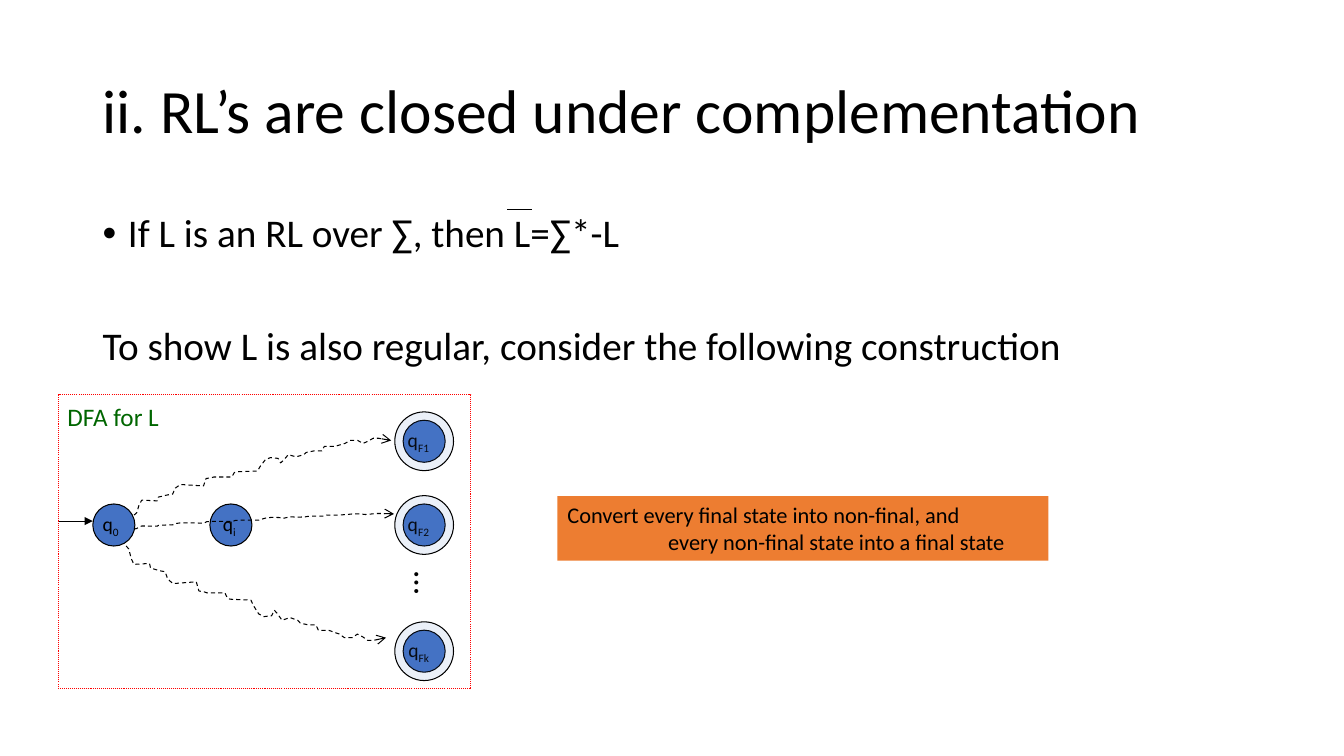
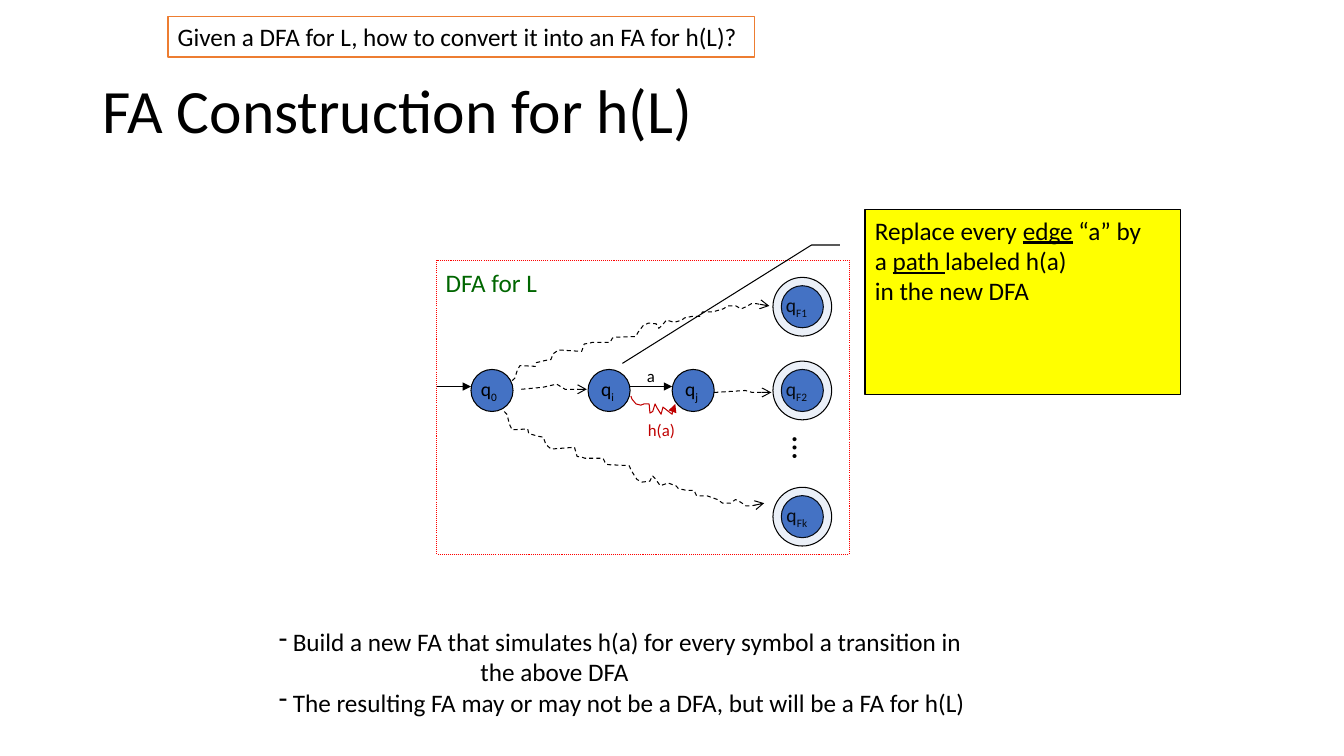
from pptx import Presentation
from pptx.dml.color import RGBColor
from pptx.enum.dml import MSO_LINE
from pptx.enum.shapes import MSO_CONNECTOR, MSO_SHAPE
from pptx.enum.text import MSO_ANCHOR, MSO_AUTO_SIZE, PP_ALIGN
from pptx.oxml.ns import qn
from pptx.util import Cm, Pt
from lxml import etree

RECTANGLE, OVAL = MSO_SHAPE.RECTANGLE, MSO_SHAPE.OVAL
CALLOUT = MSO_SHAPE.LINE_CALLOUT_2
STRAIGHT = MSO_CONNECTOR.STRAIGHT
DASH, DOT = MSO_LINE.DASH, MSO_LINE.ROUND_DOT
LEFT, RIGHT = PP_ALIGN.LEFT, PP_ALIGN.RIGHT
TOP, MIDDLE = MSO_ANCHOR.TOP, MSO_ANCHOR.MIDDLE
NO_FIT = MSO_AUTO_SIZE.NONE

FONT = "Calibri"
BLACK, WHITE, YELLOW = "000000", "FFFFFF", "FFFF00"
BLUE, ORANGE = "4472C4", "ED7D31"
GREEN, RED, DARK_RED = "006600", "FF0000", "C00000"

# Diagram sizes in cm, measured from the corner of the DFA frame
FRAME_WIDTH, FRAME_HEIGHT = 10.39, 7.41
STATE, RING_GAP = 1.06, 0.21
MIDDLE_ROW, FINAL_COLUMN = 2.75, 8.68
FINAL_ROWS = {"F1": 0.64, "F2": MIDDLE_ROW, "Fk": 5.93}
ARROW_ROW = 3.18

# Wavy path: percent of the run along, percent of the rise
WAVE = [
    (0, 0), (1, 3), (2, 14), (3, 20), (9, 19), (9.4, 24), (13, 27), (15, 28),
    (16, 36), (18, 41), (27, 39), (28, 49), (30, 50), (31, 51), (38, 51),
    (39, 57), (40, 58), (48, 59), (49, 65), (51, 74), (53, 77), (56, 76),
    (57, 70), (58, 73), (60, 81), (63, 78), (66, 81), (67, 84), (70, 86),
    (73, 86), (74, 92), (78, 92), (82, 96), (84, 100), (87, 100), (89, 96),
    (91, 99), (93, 103), (95, 103), (100, 100),
]


def colour(value):
    return RGBColor.from_string(value)


def apply(target, values):
    for name, value in values.items():
        setattr(target, name, value)


# Text

def add_span(para, text, size, ink=BLACK, underline=None, subscript=False):
    span = para.add_run()
    span.text = text
    apply(span.font, {"name": FONT, "size": Pt(size), "underline": underline})
    span.font.color.rgb = colour(ink)
    if subscript:
        span._r.get_or_add_rPr().set("baseline", "-25000")


def set_indent(para, margin=0, first=0, bullet=None):
    properties = para._p.get_or_add_pPr()
    properties.set("marL", str(Cm(margin)))
    properties.set("indent", str(Cm(first)))
    if bullet:
        etree.SubElement(properties, qn("a:buChar")).set("char", bullet)
    else:
        etree.SubElement(properties, qn("a:buNone"))


def write(shape, lines, size, ink=BLACK, anchor=TOP, wrap=True, **layout):
    """Each line is a string or a list of (text, span format) pairs."""
    frame = shape.text_frame
    apply(frame, {"word_wrap": wrap, "vertical_anchor": anchor,
                  "auto_size": NO_FIT})
    for index, line in enumerate(lines):
        para = frame.paragraphs[0] if index == 0 else frame.add_paragraph()
        apply(para, {"alignment": LEFT, **layout})
        spans = [(line, {})] if isinstance(line, str) else line
        for text, style in spans:
            add_span(para, text, size, ink, **style)
    return frame.paragraphs


def place(shape, left, top, width, height):
    apply(shape, {"left": Cm(left), "top": Cm(top),
                  "width": Cm(width), "height": Cm(height)})


def add_label(page, left, top, width, height, lines, size, ink=BLACK):
    box = page.shapes.add_textbox(Cm(left), Cm(top), Cm(width), Cm(height))
    return box, write(box, lines, size, ink)


def add_page(deck, layout, title):
    page = deck.slides.add_slide(deck.slide_layouts[layout])
    place(page.shapes.title, 2.33, 1.01, 29.21, 3.68)
    write(page.shapes.title, [title], 44, anchor=MIDDLE, line_spacing=0.9)
    return page


# Shapes and lines

def style_line(shape, ink=BLACK, weight=0.75, dash=None, arrow=None):
    shape.line.color.rgb = colour(ink)
    shape.line.width = Pt(weight)
    if dash:
        shape.line.dash_style = dash
    if arrow:
        outline = shape.element.spPr.find(qn("a:ln"))
        etree.SubElement(outline, qn("a:tailEnd")).set("type", arrow)


def add_panel(page, kind, left, top, width, height, fill=None, opacity=None,
              **outline):
    panel = page.shapes.add_shape(
        kind, Cm(left), Cm(top), Cm(width), Cm(height))
    panel.shadow.inherit = False
    if fill:
        panel.fill.solid()
        panel.fill.fore_color.rgb = colour(fill)
    else:
        panel.fill.background()
    if opacity:
        tint = panel.element.spPr.find(qn("a:solidFill"))[0]
        etree.SubElement(tint, qn("a:alpha")).set("val", str(opacity * 1000))
    if outline:
        style_line(panel, **outline)
    else:
        panel.line.fill.background()
    return panel


def add_line(page, start, end, **outline):
    line = page.shapes.add_connector(STRAIGHT, *map(Cm, start + end))
    style_line(line, **outline)
    etree.SubElement(line.element.spPr, qn("a:effectLst"))


def add_path(page, left, top, points, **outline):
    corners = [(Cm(left + x), Cm(top + y)) for x, y in points]
    builder = page.shapes.build_freeform(*corners[0], scale=1.0)
    builder.add_line_segments(corners[1:], close=False)
    curve = builder.convert_to_shape()
    curve.shadow.inherit = False
    curve.fill.background()
    style_line(curve, **outline)


def add_wave(page, left, top, run, rise):
    points = [(x * run / 100, -y * rise / 100) for x, y in WAVE]
    add_path(page, left, top, points, dash=DASH, arrow="arrow")


# The automaton

def add_state(page, left, top, name):
    state = add_panel(page, OVAL, left, top, STATE, STATE, BLUE, ink=BLACK)
    write(state, [[("q", {}), (name, {"subscript": True})]], 14,
          anchor=MIDDLE, wrap=False, alignment=RIGHT)


def add_final_state(page, left, top, name):
    add_state(page, left, top, name)
    ring = STATE + 2 * RING_GAP
    add_panel(page, OVAL, left - RING_GAP, top - RING_GAP, ring, ring, BLUE,
              opacity=10, ink=BLACK)


def add_dfa(page, left, top, inner_states):
    add_panel(page, RECTANGLE, left, top, FRAME_WIDTH, FRAME_HEIGHT,
              ink=RED, dash=DOT)
    add_label(page, left - 0.03, top + 0.05, 3.5, 1.05, ["DFA for L"], 18,
              GREEN)
    add_line(page, (left, top + ARROW_ROW), (left + 0.86, top + ARROW_ROW),
             arrow="triangle")
    for name, column in {"0": 0.86, **inner_states}.items():
        add_state(page, left + column, top + MIDDLE_ROW, name)
    for name, row in FINAL_ROWS.items():
        add_final_state(page, left + FINAL_COLUMN, top + row, name)
    dots, _ = add_label(page, left + 8.67, top + 4.19, 1.27, 1.27, ["…"], 24)
    dots.rotation = 90
    add_wave(page, left + 1.9, top + 3.03, 6.48, 1.88)
    add_wave(page, left + 1.7, top + 3.81, 6.55, -2.31)


# Pages

def add_complement_page(deck):
    page = add_page(deck, 1, "ii. RL’s are closed under complementation")
    body = page.placeholders[1]
    place(body, 2.33, 5.26, 29.21, 12.09)
    claim, proof = write(
        body,
        ["If L is an RL over ∑, then L=∑*-L",
         "To show L is also regular, consider the following construction"],
        28, line_spacing=0.9, space_before=Pt(0))
    set_indent(claim, 0.64, -0.64, "•")
    set_indent(proof)
    proof.space_before = Pt(50)
    add_line(page, (12.78, 5.28), (13.41, 5.28))

    left, top = 1.48, 9.95
    add_dfa(page, left, top, {"i": 3.81})
    add_wave(page, left + 1.9, top + 3.38, 6.55, 0.38)

    rule = add_panel(page, RECTANGLE, 14.05, 12.5, 12.37, 1.63, ORANGE)
    lines = write(rule, ["Convert every final state into non-final, and",
                         "every non-final state into a final state"], 16)
    set_indent(lines[1], 2.54)


def add_homomorphism_page(deck):
    page = add_page(deck, 5, "FA Construction for h(L)")
    left, top = 11.01, 6.56
    add_dfa(page, left, top, {"i": 3.81, "j": 5.93})
    for points in (
        [(2.13, 3.25), (2.67, 3.2), (3.02, 3.12), (3.23, 3.25), (3.78, 3.25)],
        [(6.99, 3.33), (7.47, 3.3), (7.77, 3.28), (7.95, 3.33), (8.43, 3.33)],
    ):
        add_path(page, left, top, points, dash=DASH, arrow="arrow")

    # Edge a and the path that replaces it
    add_line(page, (left + 4.87, top + ARROW_ROW),
             (left + 5.93, top + ARROW_ROW), arrow="triangle")
    add_label(page, left + 5.04, top + 2.53, 0.9, 0.76, ["a"], 12)
    squiggle = [
        (0, 0), (0.03, 0.08), (0.13, 0.2), (0.25, 0.23), (0.33, 0.2),
        (0.46, 0.2), (0.48, 0.43), (0.55, 0.39), (0.61, 0.2), (0.66, 0.3),
        (0.76, 0.46), (0.81, 0.28), (1.04, 0.46), (1.07, 0.25), (1.12, 0.2),
    ]
    add_path(page, left + 4.89, top + 3.42, squiggle, ink=DARK_RED,
             arrow="triangle")
    add_label(page, left + 5.07, top + 3.9, 1.4, 0.76, ["h(a)"], 12, DARK_RED)

    # Question, hint and conclusions
    question = add_panel(page, RECTANGLE, 4.23, 0.42, 14.78, 1.02, WHITE,
                         ink=ORANGE, weight=1)
    write(question,
          ["Given a DFA for L, how to convert it into an FA for h(L)?"], 18)
    hint = add_panel(page, CALLOUT, 21.8, 5.29, 7.94, 4.66, YELLOW, ink=BLACK)
    for index, value in enumerate((0.19, -0.08, 0.19, -0.17, 0.83, -0.77)):
        hint.adjustments[index] = value
    marked = {"underline": True}
    write(hint, [[("Replace every ", {}), ("edge", marked), (" “a” by", {})],
                 [("a ", {}), ("path ", marked), ("labeled h(a)", {})],
                 "in the new DFA"], 18)
    _, lines = add_label(
        page, 6.78, 15.66, 18.4, 2.57,
        ["Build a new FA that simulates h(a) for every symbol a transition in",
         "the above DFA",
         "The resulting FA may or may not be a DFA, but will be a FA for h(L)"],
        18)
    for index in (0, 2):
        set_indent(lines[index], 0.35, -0.35, "-")
    set_indent(lines[1], 5.08)


def main():
    deck = Presentation()
    apply(deck, {"slide_width": Cm(33.87), "slide_height": Cm(19.05)})
    add_complement_page(deck)
    add_homomorphism_page(deck)
    deck.save("out.pptx")


if __name__ == "__main__":
    main()
